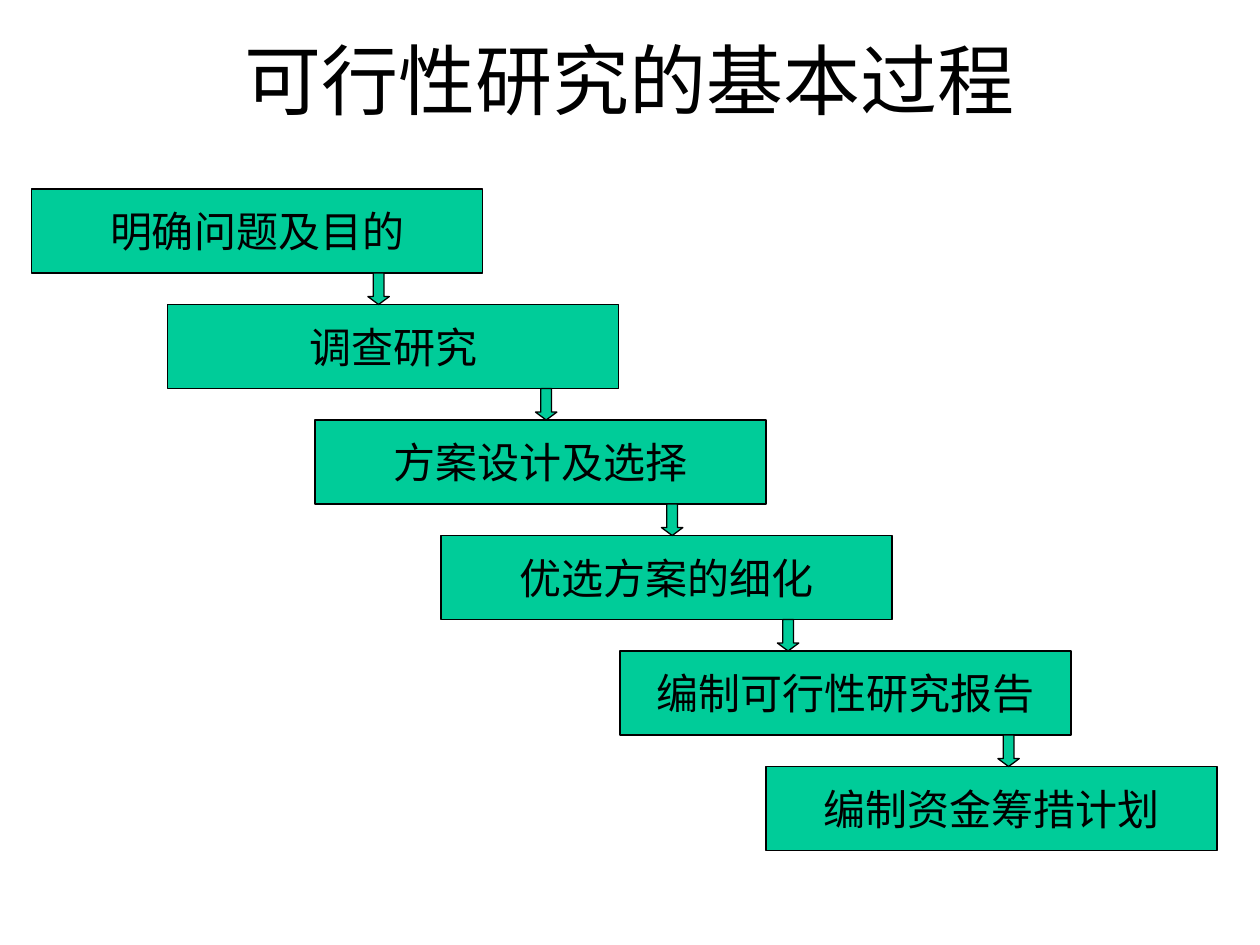
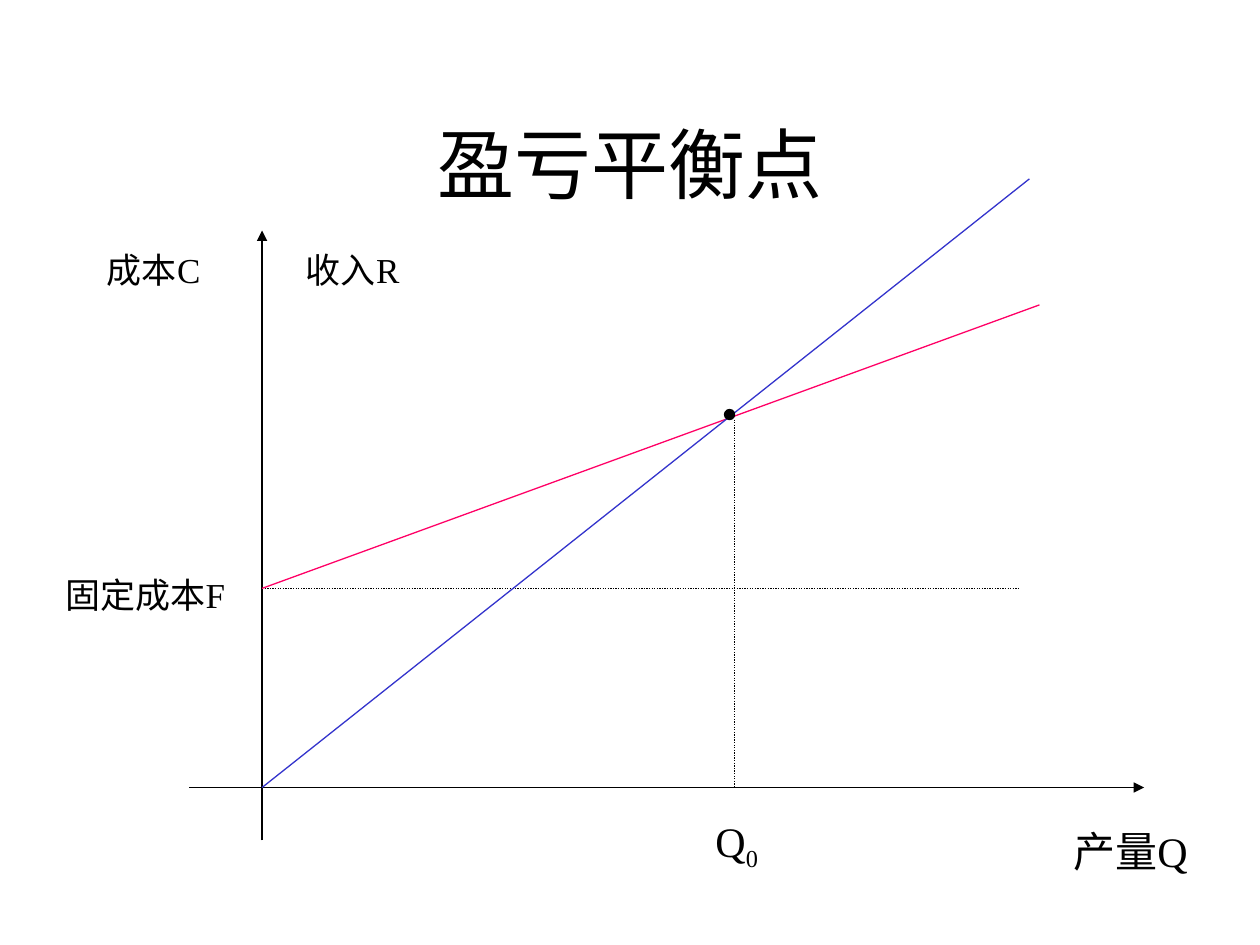
"""Build two slides: the feasibility study steps and the break-even chart."""
from dataclasses import dataclass

from lxml.etree import SubElement
from pptx import Presentation
from pptx.dml.color import RGBColor
from pptx.enum.dml import MSO_LINE
from pptx.enum.shapes import MSO_CONNECTOR, MSO_SHAPE
from pptx.enum.text import MSO_ANCHOR, MSO_AUTO_SIZE, PP_ALIGN
from pptx.oxml.ns import qn
from pptx.util import Inches, Pt


@dataclass(frozen=True)
class Theme:
    font: str = "Times New Roman"
    ink: str = "000000"
    paper: str = "FFFFFF"
    step: str = "00CC99"
    cost: str = "FF0066"
    revenue: str = "3333CC"
    title_size: int = 44
    body_size: int = 24
    label_size: int = 20
    line_width: float = 0.75


class Deck:
    def __init__(self, prs, theme):
        self.prs, self.theme, self.s = prs, theme, None

    def set_format(self, target, values):
        for name, value in values.items():
            setattr(target, name, value)

    def add_text(self, p, text, size, subscript=False):
        r = p.add_run()
        r.text = text
        self.set_format(r.font, {"name": self.theme.font, "size": Pt(size)})
        r.font.color.rgb = RGBColor.from_string(self.theme.ink)
        if subscript:
            r._r.get_or_add_rPr().set("baseline", "-25000")

    def outline(self, line, color):
        line.color.rgb = RGBColor.from_string(color)
        line.width = Pt(self.theme.line_width)

    def add_slide(self, title, top):
        self.s = self.prs.slides.add_slide(self.prs.slide_layouts[5])
        fill = self.s.background.fill
        fill.solid()
        fill.fore_color.rgb = RGBColor.from_string(self.theme.paper)
        sp = self.s.shapes.title
        self.set_format(sp, {"left": Inches(0.75), "top": Inches(top),
                             "width": Inches(8.5), "height": Inches(1.25)})
        tf = sp.text_frame
        self.set_format(tf, {"word_wrap": True, "auto_size": MSO_AUTO_SIZE.NONE,
                             "vertical_anchor": MSO_ANCHOR.MIDDLE})
        tf.paragraphs[0].alignment = PP_ALIGN.CENTER
        self.add_text(tf.paragraphs[0], title, self.theme.title_size)

    def add_shape(self, kind, left, top, width, height, color, text=""):
        sp = self.s.shapes.add_shape(kind, Inches(left), Inches(top), Inches(width), Inches(height))
        sp.shadow.inherit = False
        sp.fill.solid()
        sp.fill.fore_color.rgb = RGBColor.from_string(color)
        self.outline(sp.line, self.theme.ink)
        if text:
            tf = sp.text_frame
            self.set_format(tf, {"word_wrap": False, "vertical_anchor": MSO_ANCHOR.MIDDLE})
            tf.paragraphs[0].alignment = PP_ALIGN.CENTER
            self.add_text(tf.paragraphs[0], text, self.theme.body_size)
        return sp

    def add_line(self, start, end, color, arrow=False, dotted=False):
        cn = self.s.shapes.add_connector(MSO_CONNECTOR.STRAIGHT, *map(Inches, start + end))
        self.outline(cn.line, color)
        if dotted:
            cn.line.dash_style = MSO_LINE.ROUND_DOT
        if arrow:
            SubElement(cn._element.spPr.get_or_add_ln(), qn("a:tailEnd"), type="triangle")
        SubElement(cn._element.spPr, qn("a:effectLst"))

    def add_label(self, text, left, top, width, height, size, subscript=""):
        tf = self.s.shapes.add_textbox(
            Inches(left), Inches(top), Inches(width), Inches(height)).text_frame
        self.set_format(tf, {"word_wrap": True, "auto_size": MSO_AUTO_SIZE.SHAPE_TO_FIT_TEXT})
        self.add_text(tf.paragraphs[0], text, size)
        if subscript:
            self.add_text(tf.paragraphs[0], subscript, size, subscript=True)


def build_process(deck):
    deck.add_slide("可行性研究的基本过程", 0)
    steps = [("明确问题及目的", 0.25), ("调查研究", 1.33), ("方案设计及选择", 2.5),
             ("优选方案的细化", 3.5), ("编制可行性研究报告", 4.92), ("编制资金筹措计划", 6.08)]
    arrow_lefts = [2.92, 4.25, 5.25, 6.17, 7.92]
    color = deck.theme.step
    first_top, step_height, gap = 1.5, 2 / 3, 0.25
    pitch = step_height + gap
    for i, (text, left) in enumerate(steps):
        deck.add_shape(MSO_SHAPE.RECTANGLE, left, first_top + i * pitch,
                       3.58, step_height, color, text)
    for i, left in enumerate(arrow_lefts):
        sp = deck.add_shape(MSO_SHAPE.DOWN_ARROW, left, first_top + step_height + i * pitch,
                            0.17, gap, color)
        sp.adjustments[1] = 0.37


def build_break_even(deck):
    deck.add_slide("盈亏平衡点", 0.67)
    theme = deck.theme
    axis_x, axis_y, fixed_y, even_x = 2.08, 6.25, 4.67, 5.83
    deck.add_line((1.5, axis_y), (9.08, axis_y), theme.ink, arrow=True)
    deck.add_line((axis_x, 6.67), (axis_x, 1.83), theme.ink, arrow=True)
    deck.add_line((axis_x, fixed_y), (8.08, fixed_y), theme.ink, dotted=True)
    deck.add_line((axis_x, fixed_y), (8.25, 2.42), theme.cost)
    deck.add_line((axis_x, axis_y), (8.17, 1.42), theme.revenue)
    deck.add_line((even_x, 3.33), (even_x, axis_y), theme.ink, dotted=True)
    deck.add_label("产量Q", 8.42, 6.5, 1.17, 0.9, theme.body_size)
    for text, left, top, width in [("固定成本F", 0.42, 4.5, 1.58),
                                   ("成本C", 0.75, 1.92, 1.08),
                                   ("收入R", 2.33, 1.92, 1.17)]:
        deck.add_label(text, left, top, width, 0.44, theme.label_size)
    deck.add_shape(MSO_SHAPE.OVAL, 5.75, 3.25, 0.08, 0.08, theme.ink)
    deck.add_label("Q", 5.58, 6.42, 1.25, 0.56, theme.body_size, subscript="0")


def main():
    prs = Presentation()
    prs.slide_width, prs.slide_height = Inches(10), Inches(7.5)
    deck = Deck(prs, Theme())
    build_process(deck)
    build_break_even(deck)
    prs.save("out.pptx")


if __name__ == "__main__":
    main()
